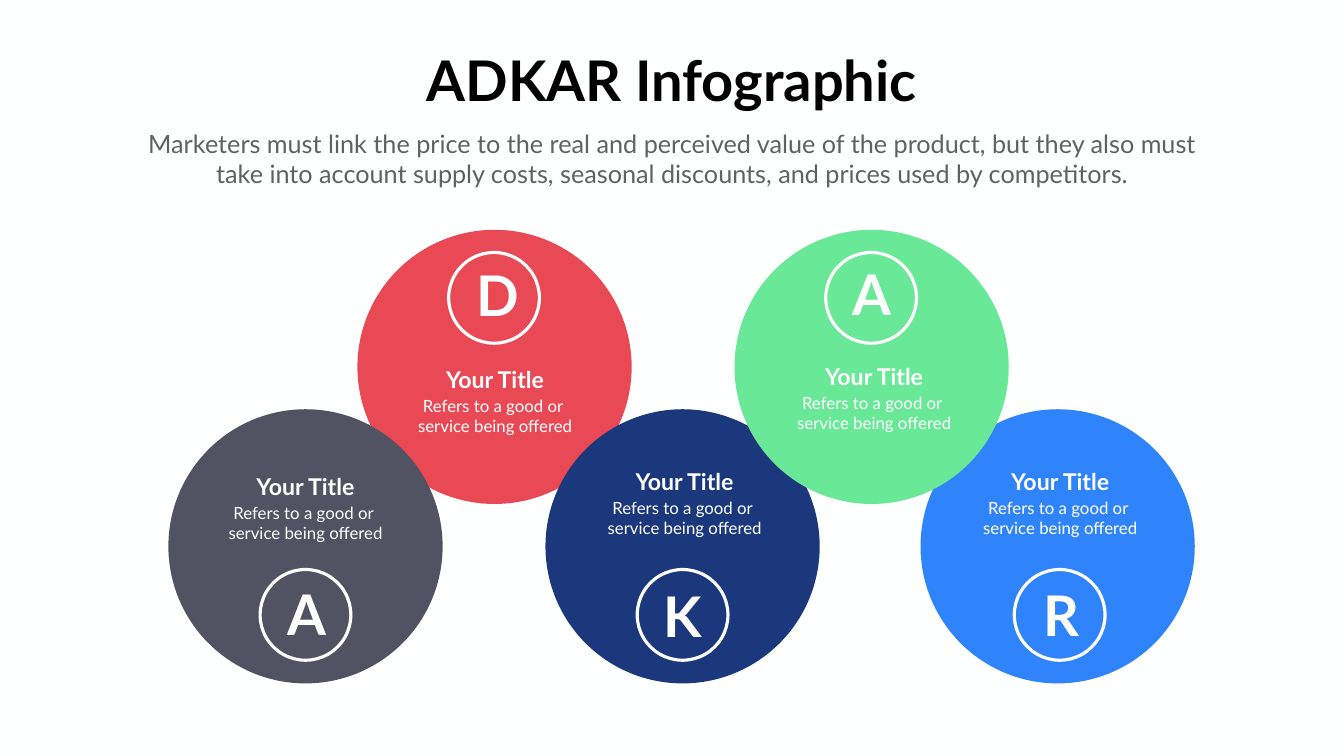
import dataclasses

import pptx
import pptx.dml.color
import pptx.enum.shapes
import pptx.enum.text
import pptx.util

Inches = pptx.util.Inches
FONT = "Lato"
WHITE = "FFFFFF"
DISK = 5.44
RING = 1.8


@dataclasses.dataclass(frozen=True)
class Stage:
    letter: str
    color: str
    disk: tuple[float, float]
    ring: tuple[float, float]
    mark: tuple[float, float]
    text: tuple[float, float]


STAGES = [
    Stage("D", "E94954", (9.81, 7.28), (9.8, 5.91), (9.87, 5.12), (9.82, 7.2)),
    Stage("A", "515262", (6.06, 10.84), (6.06, 12.2), (6.08, 11.44), (6.06, 9.32)),
    Stage("K", "1C387C", (13.54, 10.84), (13.54, 12.2), (13.55, 11.48), (13.58, 9.22)),
    Stage("R", "3084FB", (20.98, 10.84), (21.02, 12.2), (21.05, 11.47), (21.03, 9.22)),
    Stage("A", "69E898", (17.29, 7.28), (17.28, 5.91), (17.3, 5.09), (17.34, 7.14)),
]


def rgb(code: str) -> pptx.dml.color.RGBColor:
    return pptx.dml.color.RGBColor.from_string(code)


def style(shape, lines: list[str], size: float, color: str, bold: bool, wrap: bool) -> None:
    frame = shape.text_frame
    frame.text = "\n".join(lines)
    frame.word_wrap = wrap
    frame.auto_size = pptx.enum.text.MSO_AUTO_SIZE.NONE
    frame.vertical_anchor = pptx.enum.text.MSO_ANCHOR.TOP
    for line in frame.paragraphs:
        line.alignment = pptx.enum.text.PP_ALIGN.CENTER
        line.font.name = FONT
        line.font.size = pptx.util.Pt(size)
        line.font.bold = bold
        line.font.color.rgb = rgb(color)


def write(slide, mid: float, top: float, wide: float, high: float, lines: list[str],
          size: float, color: str = WHITE, bold: bool = False, wrap: bool = True) -> None:
    box = slide.shapes.add_textbox(
        Inches(mid - wide / 2), Inches(top), Inches(wide), Inches(high))
    style(box, lines, size, color, bold, wrap)


def circle(slide, center: tuple[float, float], size: float, color: str):
    x, y = center
    shape = slide.shapes.add_shape(
        pptx.enum.shapes.MSO_SHAPE.OVAL,
        Inches(x - size / 2), Inches(y - size / 2), Inches(size), Inches(size))
    shape.shadow.inherit = False
    shape.fill.solid()
    shape.fill.fore_color.rgb = rgb(color)
    shape.line.fill.background()
    return shape


def draw(slide, stage: Stage) -> None:
    circle(slide, stage.disk, DISK, stage.color)
    ring = circle(slide, stage.ring, RING, stage.color)
    ring.line.color.rgb = rgb(WHITE)
    ring.line.width = pptx.util.Pt(4.5)
    write(slide, *stage.mark, 1, 1.45, [stage.letter], 80, bold=True, wrap=False)
    mid, top = stage.text
    write(slide, mid, top, 2.3, 0.66, ["Your Title"], 33, bold=True)
    write(slide, mid, top + 0.6, 3.52, 0.91,
          ["Refers to a good or ", "service being offered"], 24)


def main() -> None:
    deck = pptx.Presentation()
    deck.slide_width = Inches(26.66)
    deck.slide_height = Inches(15)
    slide = deck.slides.add_slide(deck.slide_layouts[5])
    slide.background.fill.solid()
    slide.background.fill.fore_color.rgb = rgb("FEFFFF")

    title = slide.shapes.title
    title.left, title.top = Inches(8.26), Inches(0.85)
    title.width, title.height = Inches(10.14), Inches(1.45)
    style(title, ["ADKAR Infographic"], 80, "000000", True, False)
    write(slide, 13.33, 2.5, 21.3, 1.31, [
        "Marketers must link the price to the real and perceived value of the product, "
        "but they also must take into account supply costs, seasonal discounts, "
        "and prices used by competitors."], 36, "616161")

    for stage in STAGES:
        draw(slide, stage)
    deck.save("out.pptx")


if __name__ == "__main__":
    main()
